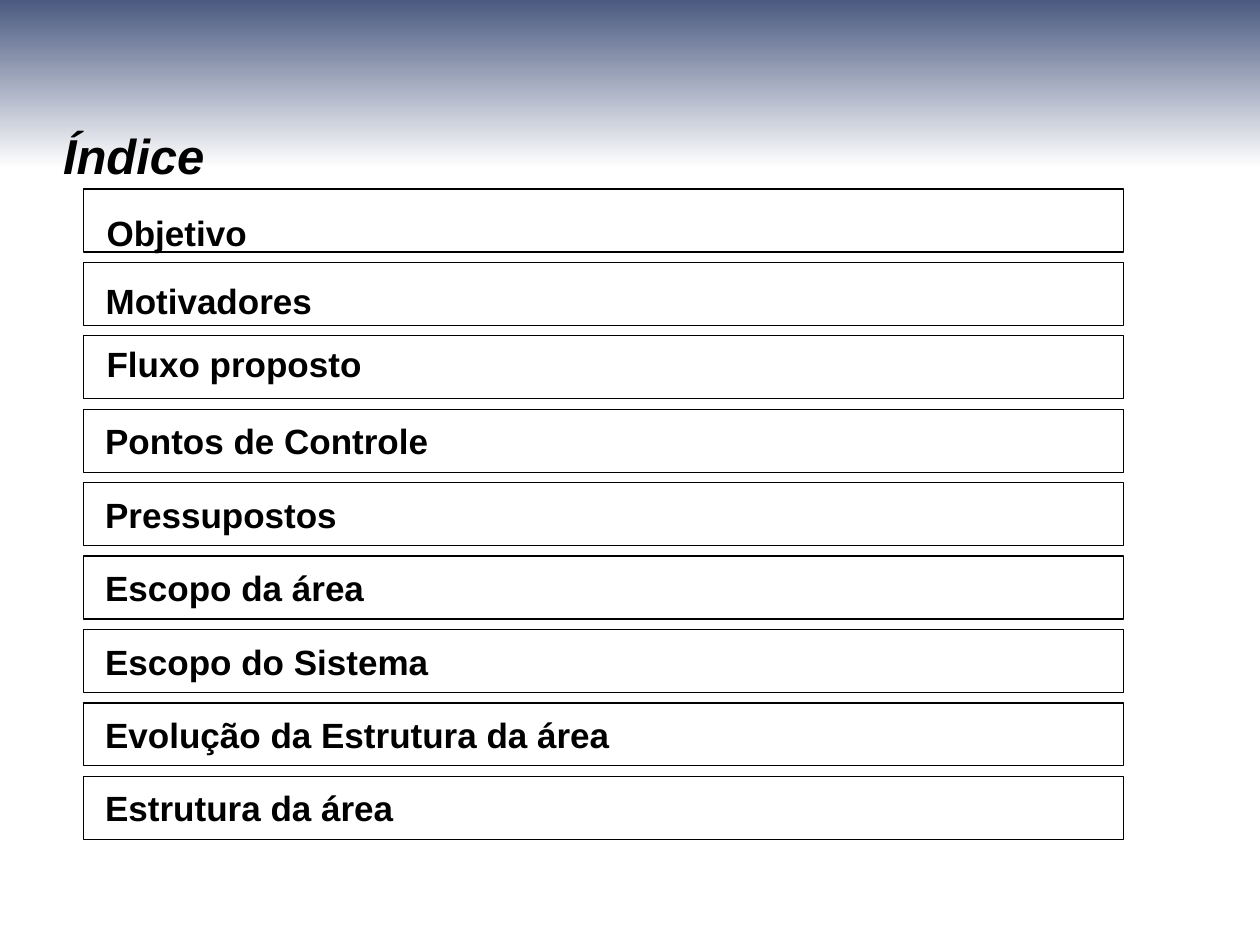
from pptx import Presentation
from pptx.dml.color import RGBColor
from pptx.enum.shapes import MSO_SHAPE
from pptx.enum.text import MSO_ANCHOR, MSO_AUTO_SIZE, PP_ALIGN
from pptx.util import Cm, Pt

RECTANGLE = MSO_SHAPE.RECTANGLE
TOP, MIDDLE = MSO_ANCHOR.TOP, MSO_ANCHOR.MIDDLE
LEFT = PP_ALIGN.LEFT
NO_AUTOFIT = MSO_AUTO_SIZE.NONE

TITLE = "Índice"
# Topic, and the top and left (cm) of its own label; None keeps the text in the row box.
TOPICS = [
    ("Objetivo", (4.14, 1.9)),
    ("Motivadores", (5.51, 1.88)),
    ("Fluxo proposto", (6.78, 1.9)),
    ("Pontos de Controle", None),
    ("Pressupostos", None),
    ("Escopo da área", None),
    ("Escopo do Sistema", None),
    ("Evolução da Estrutura da área", None),
    ("Estrutura da área", None),
]
THEME = {
    "font": "Arial",
    "title_size": Pt(28),
    "topic_size": Pt(20),
    "line_width": Pt(0.75),
    "ink": RGBColor(0, 0, 0),
    "paper": RGBColor(255, 255, 255),
    "banner": RGBColor(0x4B, 0x5A, 0x81),
}
SLIDE_WIDTH, SLIDE_HEIGHT = 25.4, 19.05
BANNER_HEIGHT = 3.39
ROW_LEFT, ROW_TOP, ROW_WIDTH, ROW_HEIGHT = 1.69, 3.81, 20.96, 1.27
ROW_PITCH = 1.48
LABEL_WIDTH, LABEL_HEIGHT = 20.52, 1.11


def write(shape, text, size, anchor, left_inset, top_inset=0.13, italic=False):
    frame = shape.text_frame
    frame.word_wrap = True
    frame.auto_size = NO_AUTOFIT
    frame.vertical_anchor = anchor
    frame.margin_left, frame.margin_top = Cm(left_inset), Cm(top_inset)
    para = frame.paragraphs[0]
    para.text = text
    para.alignment = LEFT
    font = para.font
    font.name, font.size = THEME["font"], size
    font.bold, font.italic = True, italic
    font.color.rgb = THEME["ink"]


def add_banner(slide):
    title = slide.shapes.title
    title.left, title.top = Cm(0), Cm(0)
    title.width, title.height = Cm(SLIDE_WIDTH), Cm(BANNER_HEIGHT)
    title.fill.gradient()
    title.fill.gradient_angle = 270
    colors = THEME["banner"], THEME["paper"]
    for position, (stop, color) in enumerate(zip(title.fill.gradient_stops, colors)):
        stop.position = position
        stop.color.rgb = color
    write(title, TITLE, THEME["title_size"], TOP, 1.27, 2.53, italic=True)
    title.text_frame.margin_bottom = Cm(0)


def add_row(slide, index):
    row = slide.shapes.add_shape(
        RECTANGLE, Cm(ROW_LEFT), Cm(ROW_TOP + index * ROW_PITCH),
        Cm(ROW_WIDTH), Cm(ROW_HEIGHT))
    row.shadow.inherit = False
    row.fill.solid()
    row.fill.fore_color.rgb = THEME["paper"]
    row.line.color.rgb = THEME["ink"]
    row.line.width = THEME["line_width"]
    return row


def main():
    deck = Presentation()
    deck.slide_width, deck.slide_height = Cm(SLIDE_WIDTH), Cm(SLIDE_HEIGHT)
    slide = deck.slides.add_slide(deck.slide_layouts[5])
    add_banner(slide)
    # All rows come first, so that no row covers a neighbour's label.
    rows = [add_row(slide, index) for index in range(len(TOPICS))]
    for row, (topic, label_place) in zip(rows, TOPICS):
        if label_place is None:
            write(row, topic, THEME["topic_size"], MIDDLE, 0.43)
        else:
            top, left = label_place
            label = slide.shapes.add_textbox(
                Cm(left), Cm(top), Cm(LABEL_WIDTH), Cm(LABEL_HEIGHT))
            write(label, topic, THEME["topic_size"], TOP, 0.25)
    deck.save("out.pptx")


if __name__ == "__main__":
    main()
